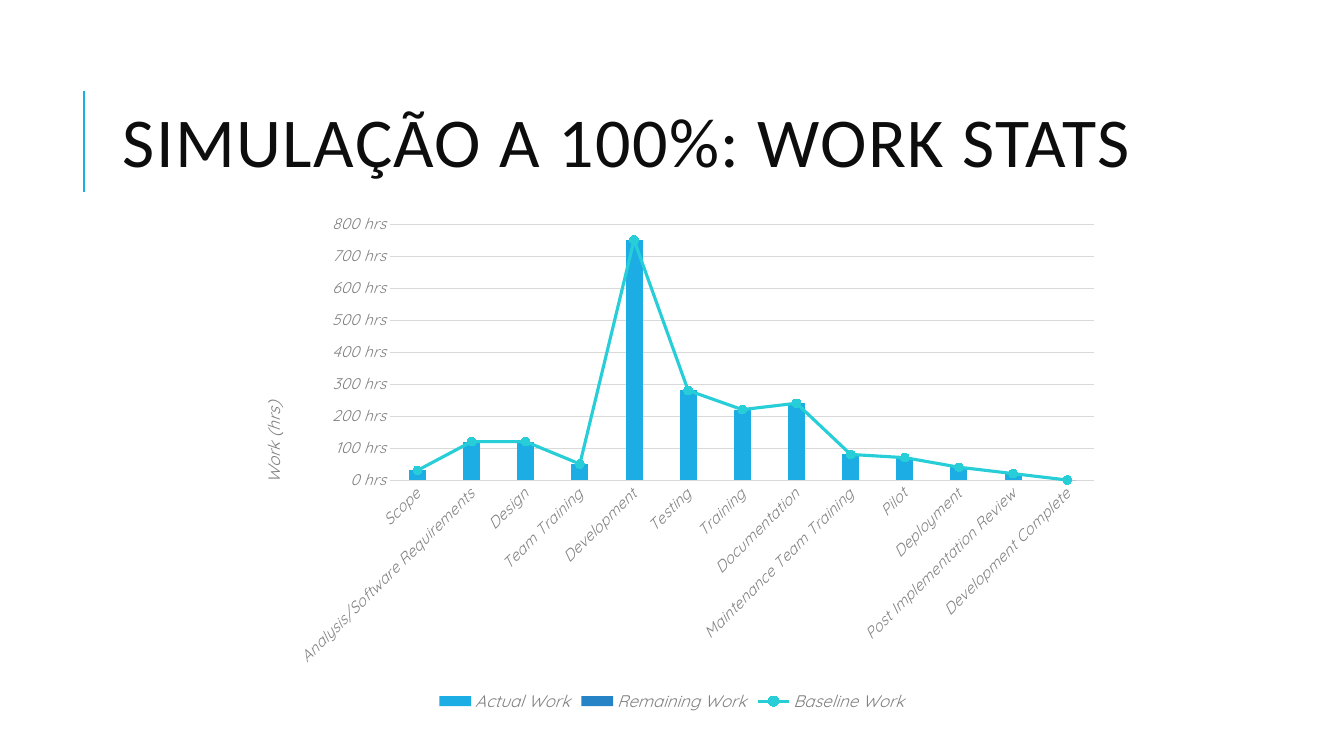
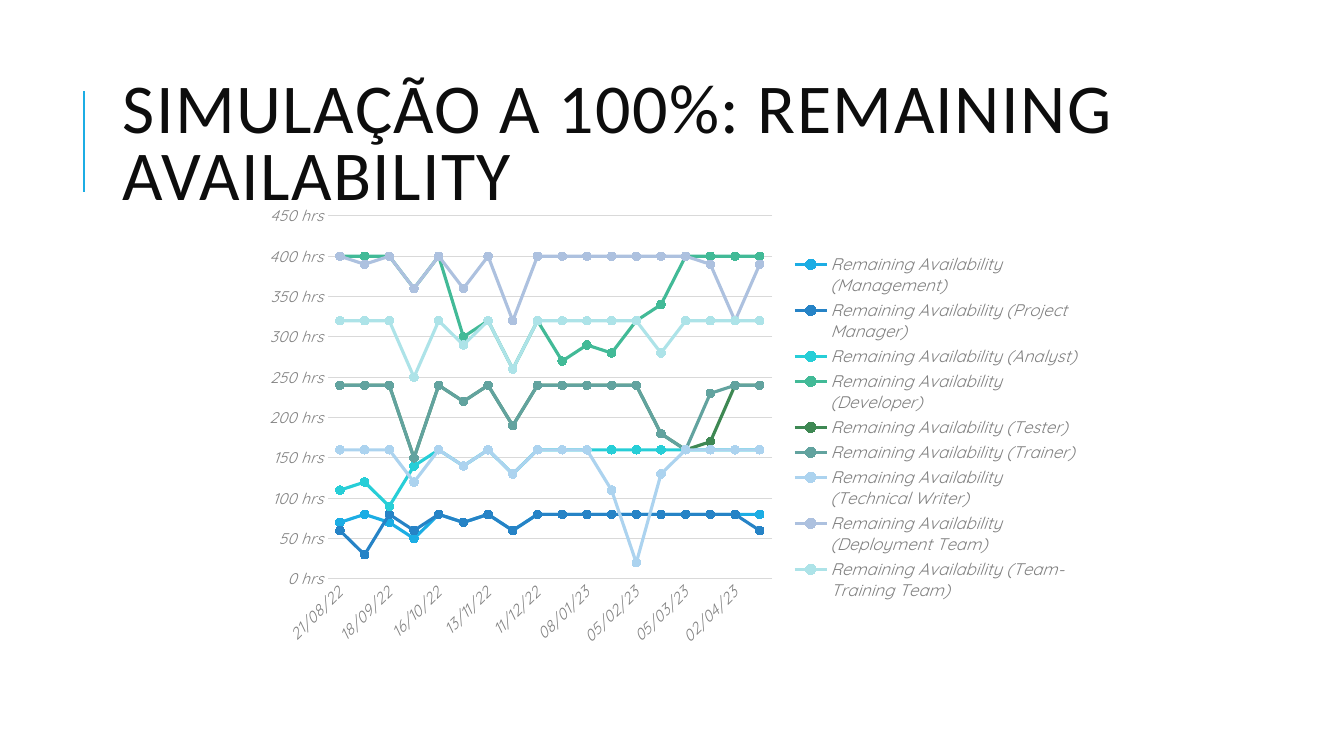
from lxml import etree
from pptx import Presentation
from pptx import util as u
from pptx.chart import data
from pptx.dml import color
from pptx.enum import chart as kinds, shapes, text
from pptx.oxml import ns

HUES = {
    "ink": "0D0D0D", "gray": "808080", "grid": "D9D9D9",
    "sky": "1CADE4", "blue": "2683C6", "aqua": "27CED7",
    "mint": "42BA97", "green": "3E8853", "sage": "62A39F",
    "pale": "ACD3EF", "lilac": "ADC1DF", "ice": "ADE3E8",
}
HEAD, BODY = "Calibri", "Quicksand"
HOURS = '#,##0_ "hrs"'


def hue(name):
    return color.RGBColor.from_string(HUES[name])


def add(parent, tag, **attrs):
    return etree.SubElement(parent, ns.qn(tag), attrs)


class Deck:
    def __init__(self):
        self.show = Presentation()
        self.show.slide_width = u.Inches(13.33)
        self.show.slide_height = u.Inches(7.5)
        self.slide = None

    def page(self, words):
        self.slide = self.show.slides.add_slide(self.show.slide_layouts[6])
        self.rule(0.83, 1.9, 0.83, 0.9)
        self.title(words)

    def rule(self, *ends):
        line = self.slide.shapes.add_connector(
            shapes.MSO_CONNECTOR.STRAIGHT, *map(u.Inches, ends))
        line.line.color.rgb = hue("sky")
        line.line.width = u.Pt(1.5)
        add(line._element.spPr, "a:effectLst")

    def title(self, words):
        box = self.slide.shapes.add_textbox(*map(u.Inches, (1.12, 0.64, 10.63, 1.64)))
        frame = box.text_frame
        frame.word_wrap = True
        frame.vertical_anchor = text.MSO_ANCHOR.MIDDLE
        para = frame.paragraphs[0]
        para.line_spacing = 0.8
        run = para.add_run()
        run.text = words
        run.font.name, run.font.size = HEAD, u.Pt(50)
        run.font.color.rgb = hue("ink")
        run._r.get_or_add_rPr().set("spc", "100")

    def font(self, font, size):
        font.name, font.size = BODY, u.Pt(size)
        font.bold, font.italic = False, True
        font.color.rgb = hue("gray")

    def place(self, parent, index, **parts):
        for old in parent.findall(ns.qn("c:layout")):
            parent.remove(old)
        layout = etree.Element(ns.qn("c:layout"))
        spot = add(layout, "c:manualLayout")
        if "w" in parts:
            add(spot, "c:layoutTarget", val="inner")
        for side in "xy":
            add(spot, f"c:{side}Mode", val="edge")
        for side, share in parts.items():
            add(spot, f"c:{side}", val=str(share))
        parent.insert(index, layout)

    def chart(self, kind, at, names, rows, top, step, legend, plot):
        source = data.CategoryChartData()
        source.categories = names
        for name, tint, values in rows:
            source.add_series(name, values)
        chart = self.slide.shapes.add_chart(
            kind, *map(u.Inches, at), source).chart
        chart.has_title = False
        self.font(chart.font, 11)
        chart.has_legend = True
        chart.legend.position = legend
        chart.legend.include_in_layout = False
        self.font(chart.legend.font, 12)
        for axis in (chart.category_axis, chart.value_axis):
            self.axis(axis)
        self.turn(chart.category_axis)
        self.scale(chart.value_axis, top, step)
        self.place(chart._chartSpace.chart.plotArea, 0, **plot)
        return chart

    def axis(self, axis):
        axis.major_tick_mark = axis.minor_tick_mark = kinds.XL_TICK_MARK.NONE
        axis.format.line.fill.background()
        self.font(axis.tick_labels.font, 11)

    def turn(self, axis):
        body = axis._element.get_or_add_txPr().find(ns.qn("a:bodyPr"))
        body.set("rot", "-2700000")
        body.set("vert", "horz")

    def scale(self, axis, top, step):
        axis.minimum_scale, axis.maximum_scale = 0, top
        axis.major_unit = step
        axis.tick_labels.number_format = HOURS
        axis.tick_labels.number_format_is_linked = False
        axis.has_major_gridlines = True
        grid = axis.major_gridlines.format.line
        grid.color.rgb, grid.width = hue("grid"), u.Pt(0.75)

    def label(self, axis, words, x, y):
        title = axis.axis_title
        frame = title.text_frame
        run = frame.paragraphs[0].add_run()
        run.text = words
        self.font(run.font, 12)
        body = frame._txBody.find(ns.qn("a:bodyPr"))
        body.set("rot", "-5400000")
        body.set("vert", "horz")
        self.place(title._element, 1, x=x, y=y)

    def curve(self, row, tint):
        row.smooth = False
        row.format.line.color.rgb = hue(tint)
        row.format.line.width = u.Pt(2.25)
        mark = row.marker
        mark.style, mark.size = kinds.XL_MARKER_STYLE.CIRCLE, 6
        mark.format.fill.solid()
        mark.format.fill.fore_color.rgb = hue(tint)
        mark.format.line.color.rgb = hue(tint)

    def split(self, chart):
        bars = chart.plots[0]._element
        row = bars.findall(ns.qn("c:ser"))[-1]
        for flag in row.findall(ns.qn("c:invertIfNegative")):
            row.remove(flag)
        lines = bars.makeelement(ns.qn("c:lineChart"))
        add(lines, "c:grouping", val="standard")
        add(lines, "c:varyColors", val="0")
        lines.append(row)
        add(lines, "c:marker", val="1")
        for key in bars.findall(ns.qn("c:axId")):
            add(lines, "c:axId", val=key.get("val"))
        bars.addnext(lines)
        return chart.plots[1].series[0]

    def combo(self, rows, **setup):
        chart = self.chart(kinds.XL_CHART_TYPE.COLUMN_STACKED, rows=rows, **setup)
        self.curve(self.split(chart), rows[-1][1])
        plot = chart.plots[0]
        plot.vary_by_categories = False
        plot.gap_width, plot.overlap = 219, 100
        for row, (name, tint, values) in zip(plot.series, rows):
            row.format.fill.solid()
            row.format.fill.fore_color.rgb = hue(tint)
        return chart

    def lines(self, rows, **setup):
        chart = self.chart(kinds.XL_CHART_TYPE.LINE_MARKERS, rows=rows, **setup)
        plot = chart.plots[0]
        plot.vary_by_categories = False
        for row, (name, tint, values) in zip(plot.series, rows):
            self.curve(row, tint)


TASKS = [
    "Scope", "Analysis/Software Requirements", "Design", "Team Training",
    "Development", "Testing", "Training", "Documentation",
    "Maintenance Team Training", "Pilot", "Deployment",
    "Post Implementation Review", "Development Complete",
]
WORK = [30, 120, 120, 50, 750, 280, 220, 240, 80, 70, 40, 20, 0]
DATES = [
    "21/08/22", "04/09/22", "18/09/22", "02/10/22", "16/10/22", "30/10/22",
    "13/11/22", "27/11/22", "11/12/22", "25/12/22", "08/01/23", "22/01/23",
    "05/02/23", "19/02/23", "05/03/23", "19/03/23", "02/04/23", "16/04/23",
]
TEAMS = [
    ("Management", "sky",
     [70, 80, 70, 50, 80, 70, 80, 60] + [80] * 10),
    ("Project Manager", "blue",
     [60, 30, 80, 60, 80, 70, 80, 60] + [80] * 9 + [60]),
    ("Analyst", "aqua",
     [110, 120, 90, 140, 160, 140, 160, 130] + [160] * 10),
    ("Developer", "mint",
     [400, 400, 400, 360, 400, 300, 320, 260, 320,
      270, 290, 280, 320, 340, 400, 400, 400, 400]),
    ("Tester", "green",
     [240, 240, 240, 150, 240, 220, 240, 190, 240,
      240, 240, 240, 240, 180, 160, 170, 240, 240]),
    ("Trainer", "sage",
     [240, 240, 240, 150, 240, 220, 240, 190, 240,
      240, 240, 240, 240, 180, 160, 230, 240, 240]),
    ("Technical Writer", "pale",
     [160, 160, 160, 120, 160, 140, 160, 130, 160,
      160, 160, 110, 20, 130, 160, 160, 160, 160]),
    ("Deployment Team", "lilac",
     [400, 390, 400, 360, 400, 360, 400, 320, 400,
      400, 400, 400, 400, 400, 400, 390, 320, 390]),
    ("Team-Training Team", "ice",
     [320, 320, 320, 250, 320, 290, 320, 260, 320,
      320, 320, 320, 320, 280, 320, 320, 320, 320]),
]


def main():
    deck = Deck()
    deck.page("SIMULAÇÃO A 100%: WORK STATS")
    stats = deck.combo(
        [("Actual Work", "sky", WORK),
         ("Remaining Work", "blue", [0] * len(TASKS)),
         ("Baseline Work", "aqua", WORK)],
        at=(2.3, 2.02, 8.73, 5.08), names=TASKS, top=800, step=100,
        legend=kinds.XL_LEGEND_POSITION.BOTTOM,
        plot={"x": 0.18, "y": 0.04, "w": 0.8, "h": 0.5})
    deck.label(stats.value_axis, "Work (hrs)", 0.03, 0.38)

    deck.page("SIMULAÇÃO A 100%: REMAINING AVAILABILITY")
    deck.lines(
        [(f"Remaining Availability ({team})", tint, hours)
         for team, tint, hours in TEAMS],
        at=(2.5, 1.96, 8.32, 4.56), names=DATES, top=450, step=50,
        legend=kinds.XL_LEGEND_POSITION.RIGHT,
        plot={"x": 0.09, "y": 0.04, "w": 0.53, "h": 0.79})
    deck.show.save("out.pptx")


if __name__ == "__main__":
    main()
